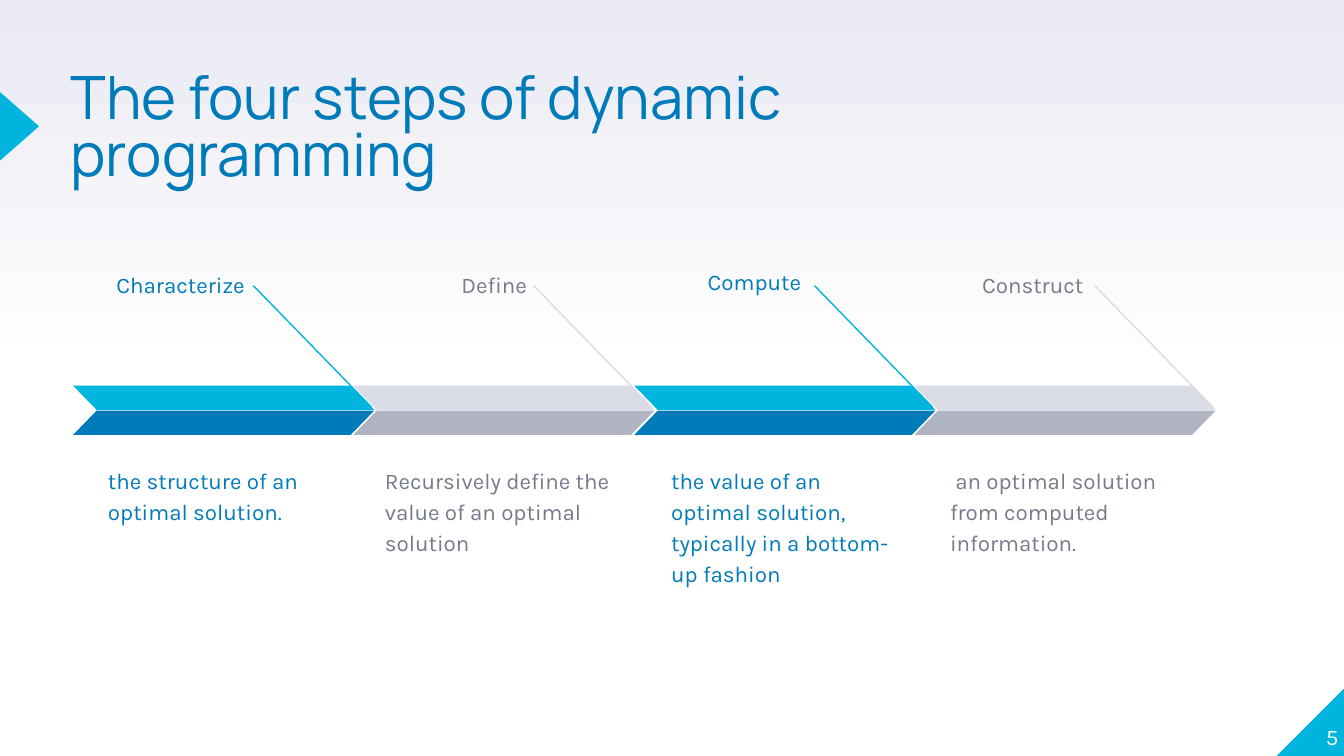
import dataclasses

import pptx
import pptx.dml.color
import pptx.enum.dml
import pptx.enum.shapes
import pptx.enum.text
import pptx.oxml
import pptx.oxml.ns
import pptx.util

PX = 4572  # EMU per px, 200 px to the inch
RGB = pptx.dml.color.RGBColor.from_string
SHAPE = pptx.enum.shapes.MSO_SHAPE
ALIGN = pptx.enum.text.PP_ALIGN
ANCHOR = pptx.enum.text.MSO_ANCHOR


@dataclasses.dataclass(frozen=True)
class Theme:
    title_font: str = "Manrope"
    body_font: str = "Karla"
    title_size: int = 32
    body_size: int = 12
    white: str = "FFFFFF"
    lavender: str = "E9EAF2"
    cyan: str = "00B5DD"
    blue: str = "007BB9"
    light_gray: str = "DADCE5"
    mid_gray: str = "B0B3C1"
    text_gray: str = "757B89"


theme = Theme()


def add_filled(shapes, kind, box, color, flipped=False):
    """Add a preset shape without outline or shadow, optionally mirrored left to right."""
    shape = shapes.add_shape(kind, *[value * PX for value in box])
    shape.shadow.inherit = False
    shape.fill.solid()
    shape.fill.fore_color.rgb = RGB(color)
    shape.line.fill.background()
    if flipped:
        shape.element.spPr.xfrm.set("flipH", "1")
    return shape


def write_text(shape, box, text, color, align, margin=20, spacing=1.15, after=16,
               font=theme.body_font, size=theme.body_size, anchor=ANCHOR.TOP):
    """Place a text shape and fill it with one formatted paragraph."""
    shape.left, shape.top, shape.width, shape.height = [value * PX for value in box]
    frame = shape.text_frame
    frame.text = text
    frame.word_wrap = True
    frame.auto_size = pptx.enum.text.MSO_AUTO_SIZE.NONE
    frame.vertical_anchor = anchor
    frame.margin_left = frame.margin_right = margin * PX
    frame.margin_top = frame.margin_bottom = margin * PX
    paragraph = frame.paragraphs[0]
    paragraph.alignment = align
    paragraph.line_spacing = spacing
    paragraph.space_before = pptx.util.Pt(0)
    paragraph.space_after = pptx.util.Pt(after)
    paragraph.font.name = font
    paragraph.font.size = pptx.util.Pt(size)
    paragraph.font.color.rgb = RGB(color)


presentation = pptx.Presentation()
presentation.slide_width = 2000 * PX
presentation.slide_height = 1125 * PX
slide = presentation.slides.add_slide(presentation.slide_layouts[5])

# Background: white lower half, fading to lavender at the top
background = slide.background.fill
background.gradient()
background.gradient_angle = 90
for stop, position, color in zip(background.gradient_stops, (0.5, 1),
                                 (theme.white, theme.lavender)):
    stop.position = position
    stop.color.rgb = RGB(color)

# Corner, title marker, title and slide number
add_filled(slide.shapes, SHAPE.RIGHT_TRIANGLE, (1900, 1023, 102, 102), theme.cyan, flipped=True)
marker = add_filled(slide.shapes, SHAPE.ISOSCELES_TRIANGLE, (-22, 159, 102, 58), theme.cyan)
marker.rotation = 90
write_text(slide.shapes.title, (105, 109, 1234, 236), "The four steps of dynamic programming",
           theme.blue, ALIGN.LEFT, margin=0, spacing=0.8, after=0,
           font=theme.title_font, size=theme.title_size)
write_text(slide.shapes.add_textbox(0, 0, 0, 0), (1892, 1014, 100, 102), "5", theme.white,
           ALIGN.RIGHT, margin=0, spacing=1, after=0, anchor=ANCHOR.BOTTOM)

# Steps: label, label left, top and width, detail, detail left
steps = [
    ("Characterize", 108, 378, 276, "the structure of an optimal solution.", 141),
    ("Define", 652, 378, 152, "Recursively define the value of an optimal solution", 553),
    ("Compute", 982, 373, 230,
     "the value of an optimal solution, typically in a bottom-up fashion", 979),
    ("Construct", 1418, 378, 214, " an optimal solution from computed information.", 1394),
]
schemes = [
    (theme.cyan, theme.blue, theme.blue),
    (theme.light_gray, theme.mid_gray, theme.text_gray),
]
FIRST_BAND, LAST_BAND = 109, 1361

for index, (label, label_left, label_top, label_width, detail, detail_left) in enumerate(steps):
    upper_color, lower_color, text_color = schemes[index % 2]
    band_left = round(FIRST_BAND + index * (LAST_BAND - FIRST_BAND) / (len(steps) - 1))
    group = slide.shapes.add_group_shape().shapes

    write_text(group.add_textbox(0, 0, 0, 0), (label_left, label_top, label_width, 58),
               label, text_color, ALIGN.RIGHT)
    write_text(group.add_textbox(0, 0, 0, 0), (detail_left, 669, 378, 180),
               detail, text_color, ALIGN.LEFT)

    leader = group.add_connector(pptx.enum.shapes.MSO_CONNECTOR.STRAIGHT,
                                 (band_left + 268) * PX, 425 * PX,
                                 (band_left + 444) * PX, 606 * PX)
    leader.line.color.rgb = RGB(upper_color)
    leader.line.width = pptx.util.Pt(0.75)
    leader.element.spPr.append(
        pptx.oxml.parse_xml(f"<a:effectLst {pptx.oxml.ns.nsdecls('a')}/>"))

    for band_top, color, flipped in ((574, upper_color, True), (611, lower_color, False)):
        band = add_filled(group, SHAPE.PARALLELOGRAM, (band_left, band_top, 448, 36),
                          color, flipped)
        band.adjustments[0] = 0.97

presentation.save("out.pptx")
